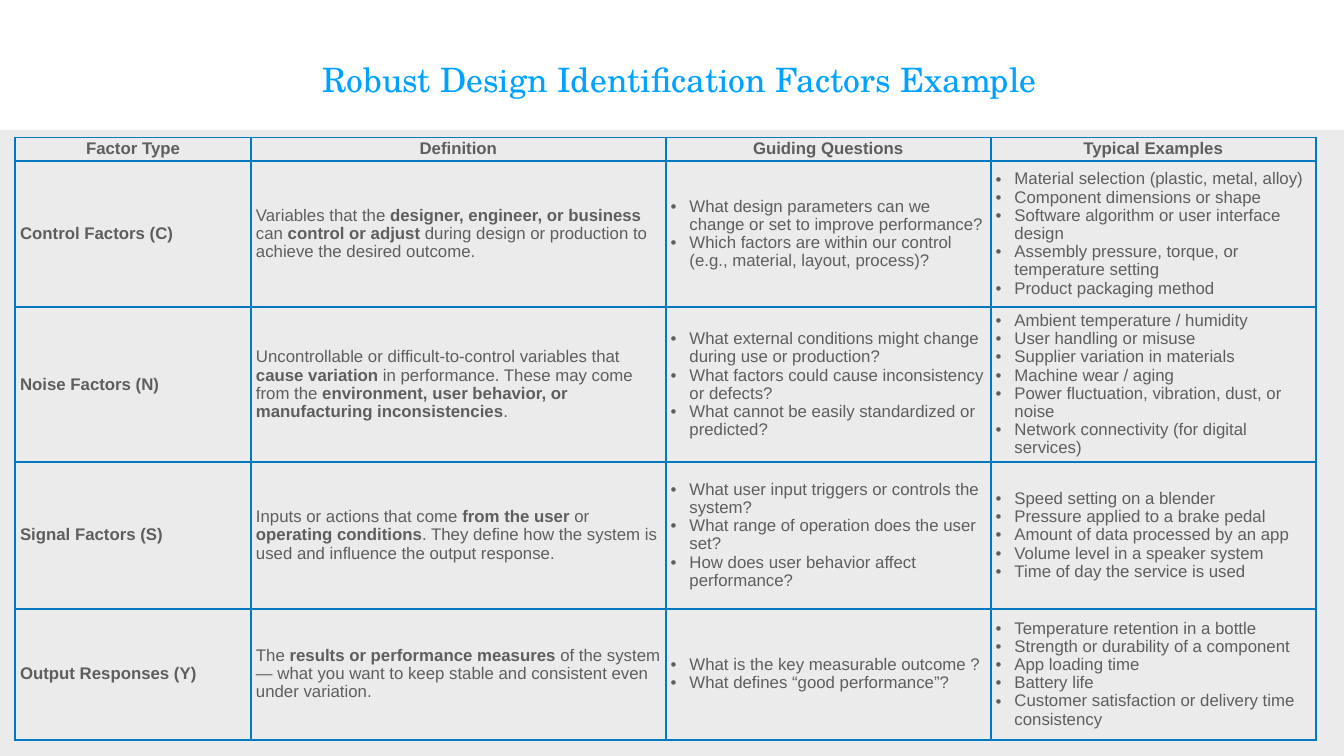
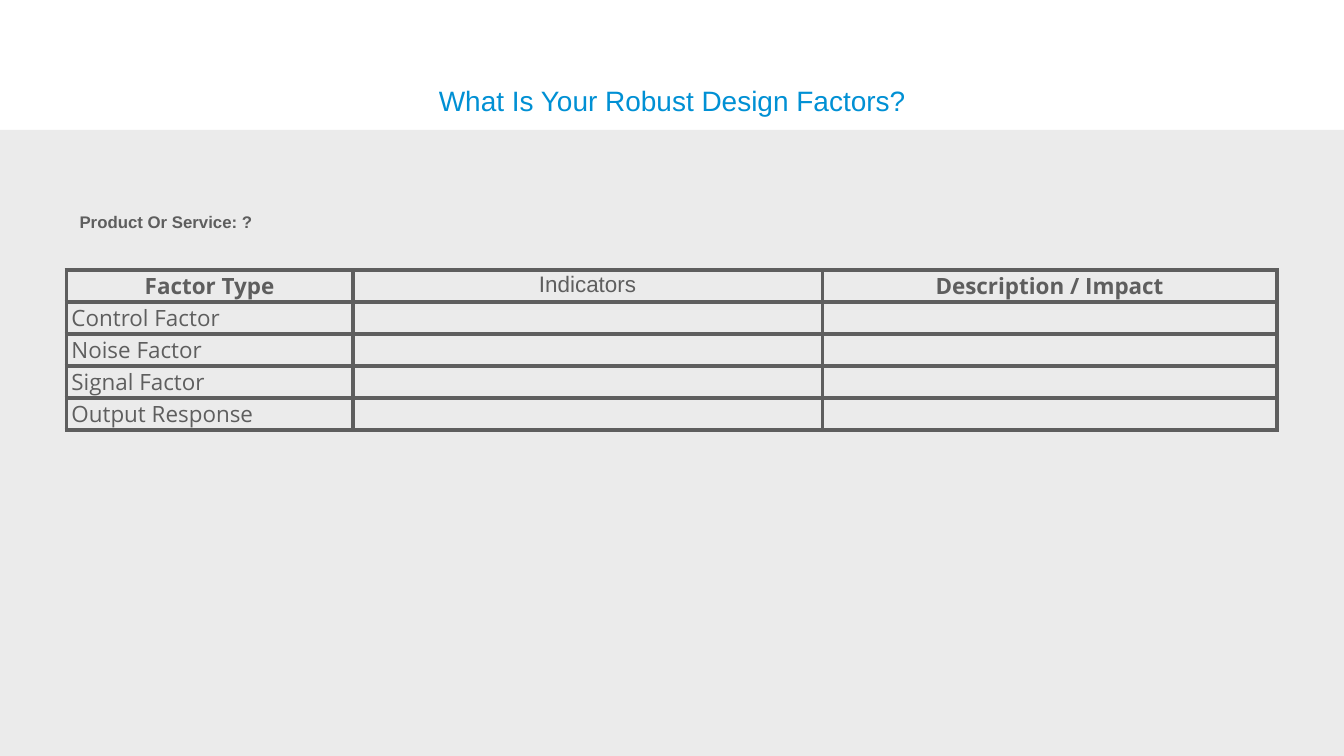
from lxml import etree
from pptx import Presentation
from pptx.dml.color import RGBColor
from pptx.enum.shapes import MSO_SHAPE
from pptx.enum.text import MSO_ANCHOR, MSO_AUTO_SIZE, PP_ALIGN
from pptx.oxml.ns import qn
from pptx.util import Cm, Pt

RECTANGLE = MSO_SHAPE.RECTANGLE
MIDDLE = MSO_ANCHOR.MIDDLE
NO_AUTOFIT = MSO_AUTO_SIZE.NONE
CENTER, LEFT = PP_ALIGN.CENTER, PP_ALIGN.LEFT

GRAY = RGBColor(0x5E, 0x5E, 0x5E)
BAND_GRAY = RGBColor(0xEB, 0xEB, 0xEB)
RULE_BLUE = RGBColor(0x00, 0x79, 0xBF)
BRIGHT_BLUE = RGBColor(0x00, 0xA2, 0xFF)
DEEP_BLUE = RGBColor(0x00, 0x90, 0xD4)
WIDTH, HEIGHT, BAND_TOP = Cm(67.74), Cm(38.1), Cm(6.55)


def add_ruled_table(slide, left, top, col_widths, row_heights, color, weight):
    """Add an unfilled table whose cells all have the same border."""
    table = slide.shapes.add_table(
        len(row_heights), len(col_widths), Cm(left), Cm(top),
        Cm(sum(col_widths)), Cm(sum(row_heights))).table
    table.first_row = table.horz_banding = False
    for column, width in zip(table.columns, col_widths):
        column.width = Cm(width)
    for row, height in zip(table.rows, row_heights):
        row.height = Cm(height)
    for cell in table.iter_cells():
        cell.fill.background()
        cell.vertical_anchor = MIDDLE
        cell.margin_left = cell.margin_right = Cm(0.25)
        cell.margin_top = cell.margin_bottom = Cm(0.1)
        properties = cell._tc.get_or_add_tcPr()
        for position, side in enumerate(("lnL", "lnR", "lnT", "lnB")):
            line = etree.Element(qn(f"a:{side}"), w=str(Pt(weight)))
            fill = etree.SubElement(line, qn("a:solidFill"))
            etree.SubElement(fill, qn("a:srgbClr"), val=str(color))
            properties.insert(position, line)
    return table


def write_paragraph(paragraph, text, font, size, color, bold=False,
                    align=LEFT, spacing=1.0, bullet=False):
    """Write text in which **marks** enclose bold words."""
    if bullet:
        properties = paragraph._p.get_or_add_pPr()
        properties.set("marL", str(Cm(0.95)))
        properties.set("indent", str(-Cm(0.95)))
        etree.SubElement(properties, qn("a:buFont"), typeface="Arial")
        etree.SubElement(properties, qn("a:buChar"), char="•")
    paragraph.alignment = align
    paragraph.line_spacing = spacing
    paragraph.font.name = font
    paragraph.font.size = Pt(size)
    paragraph.font.color.rgb = color
    paragraph.font.bold = bold
    for index, part in enumerate(text.split("**")):
        if part:
            run = paragraph.add_run()
            run.text = part
            if index % 2:
                run.font.bold = True


prs = Presentation()
prs.slide_width, prs.slide_height = WIDTH, HEIGHT

# Title and gray band on both slides
titles = [
    ("Robust Design Identification Factors Example",
     (10.52, 2.79, 47.45, 2.34), "TeX Gyre Schola", 48, BRIGHT_BLUE),
    ("What Is Your Robust Design Factors?",
     (15.95, 4.06, 35.84, 2.01), "Arial", 40, DEEP_BLUE),
]
for text, place, font, size, color in titles:
    slide = prs.slides.add_slide(prs.slide_layouts[5])
    band = slide.shapes.add_shape(RECTANGLE, 0, BAND_TOP, WIDTH, HEIGHT - BAND_TOP)
    band.shadow.inherit = False
    band.fill.solid()
    band.fill.fore_color.rgb = BAND_GRAY
    band.line.fill.background()

    title = slide.shapes.title
    title.left, title.top, title.width, title.height = map(Cm, place)
    frame = title.text_frame
    frame.auto_size = NO_AUTOFIT
    frame.word_wrap = True
    frame.vertical_anchor = MIDDLE
    frame.margin_left = frame.margin_right = Cm(0.15)
    frame.margin_top = frame.margin_bottom = Cm(0.15)
    write_paragraph(frame.paragraphs[0], text, font, size, color, align=CENTER)

example_slide, exercise_slide = prs.slides

# Slide 1: factor examples
headings = ["Factor Type", "Definition", "Guiding Questions", "Typical Examples"]
factors = [
    ("Control Factors (C)",
     "Variables that the **designer, engineer, or business** can "
     "**control or adjust** during design or production to achieve the desired outcome.",
     ["What design parameters can we change or set to improve performance?",
      "Which factors are within our control (e.g., material, layout, process)?"],
     ["Material selection (plastic, metal, alloy)",
      "Component dimensions or shape",
      "Software algorithm or user interface design",
      "Assembly pressure, torque, or temperature setting",
      "Product packaging method"]),
    ("Noise Factors (N)",
     "Uncontrollable or difficult-to-control variables that **cause variation** in "
     "performance. These may come from the **environment, user behavior, or "
     "manufacturing inconsistencies**.",
     ["What external conditions might change during use or production?",
      "What factors could cause inconsistency or defects?",
      "What cannot be easily standardized or predicted?"],
     ["Ambient temperature / humidity",
      "User handling or misuse",
      "Supplier variation in materials",
      "Machine wear / aging",
      "Power fluctuation, vibration, dust, or noise",
      "Network connectivity (for digital services)"]),
    ("Signal Factors (S)",
     "Inputs or actions that come **from the user** or **operating conditions**. "
     "They define how the system is used and influence the output response.",
     ["What user input triggers or controls the system?",
      "What range of operation does the user set?",
      "How does user behavior affect performance?"],
     ["Speed setting on a blender",
      "Pressure applied to a brake pedal",
      "Amount of data processed by an app",
      "Volume level in a speaker system",
      "Time of day the service is used"]),
    ("Output Responses (Y)",
     "The **results or performance measures** of the system — what you want to keep "
     "stable and consistent even under variation.",
     ["What is the key measurable outcome ?",
      "What defines “good performance”?"],
     ["Temperature retention in a bottle",
      "Strength or durability of a component",
      "App loading time",
      "Battery life",
      "Customer satisfaction or delivery time consistency"]),
]
examples = add_ruled_table(
    example_slide, 0.76, 6.93, [11.89, 20.9, 16.38, 16.38],
    [1.17, 7.39, 7.8, 7.39, 6.6], RULE_BLUE, 3)
for row, contents in enumerate([headings, *factors]):
    for col, content in enumerate(contents):
        frame = examples.cell(row, col).text_frame
        bullet = isinstance(content, list)
        for index, text in enumerate(content if bullet else [content]):
            paragraph = frame.add_paragraph() if index else frame.paragraphs[0]
            write_paragraph(paragraph, text, "Arial", 24, GRAY,
                            bold=row == 0 or col == 0,
                            align=LEFT if row else CENTER,
                            spacing=0.97, bullet=bullet)

# Slide 2: exercise to fill in
product = exercise_slide.shapes.add_textbox(Cm(3.76), Cm(10.54), Cm(19.71), Cm(1.27))
product.text_frame.word_wrap = True
write_paragraph(product.text_frame.paragraphs[0], "Product Or Service: ?",
                "Arial", 24, GRAY, bold=True)

exercise = add_ruled_table(exercise_slide, 3.35, 13.61, [14.43, 23.67, 22.91],
                           [1.61] * 5, GRAY, 6)
exercise_headings = [("Factor Type", "Open Sans", True),
                     ("Indicators", "Arial", False),
                     ("Description / Impact", "Open Sans", True)]
for col, (text, font, bold) in enumerate(exercise_headings):
    write_paragraph(exercise.cell(0, col).text_frame.paragraphs[0], text, font, 32,
                    GRAY, bold=bold, align=CENTER, spacing=0.9)
factor_types = ["Control Factor", "Noise Factor", "Signal Factor", "Output Response"]
for row, text in enumerate(factor_types, start=1):
    write_paragraph(exercise.cell(row, 0).text_frame.paragraphs[0], text,
                    "Open Sans", 32, GRAY, spacing=0.9)

prs.save("out.pptx")
